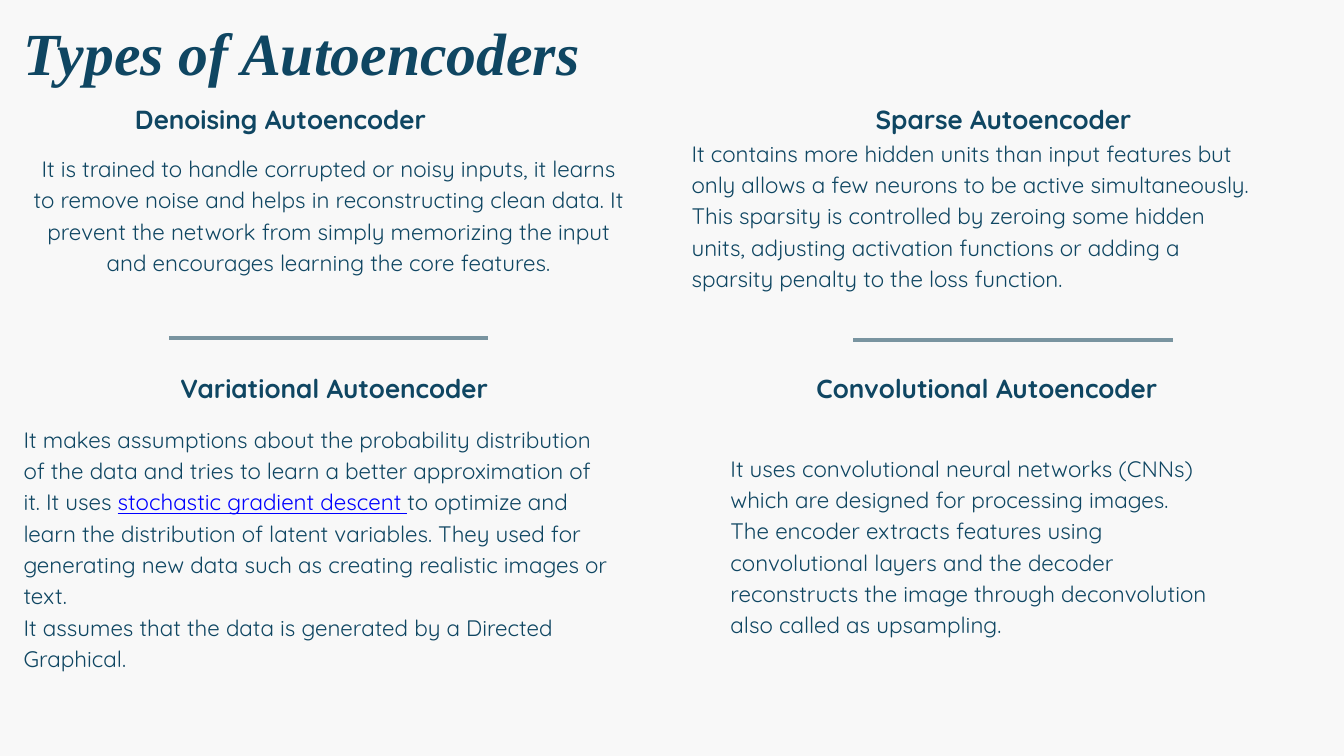
from dataclasses import dataclass

from lxml import etree
from pptx import Presentation
from pptx.dml.color import RGBColor
from pptx.enum import shapes, text
from pptx.oxml.ns import qn
from pptx.util import Cm, Pt

LEFT, CENTER, RIGHT = text.PP_ALIGN.LEFT, text.PP_ALIGN.CENTER, text.PP_ALIGN.RIGHT


@dataclass(frozen=True)
class Theme:
    paper: RGBColor = RGBColor.from_string("F8F8F8")
    ink: RGBColor = RGBColor.from_string("0F4662")
    rule: RGBColor = RGBColor.from_string("7994A0")
    link: RGBColor = RGBColor.from_string("0000FF")
    serif: str = "Times New Roman"
    sans: str = "Quicksand"
    title: int = 64
    head: int = 28
    body: int = 24
    leading: float = 1.4
    stroke: float = 4.5


@dataclass(frozen=True)
class Box:
    """A place on the slide, in centimetres."""
    left: float
    top: float
    width: float
    height: float


@dataclass(frozen=True)
class Topic:
    name: str
    head: Box
    side: text.PP_ALIGN
    paras: tuple[str, ...]
    body: Box
    align: text.PP_ALIGN = LEFT
    link: str = ""


THEME = Theme()
HEAD_W, HEAD_H = 14.86, 1.37
TOP, LOW = 3.73, 13.87
RULE_W = 12.06
RULES = ((6.4, 12.78), (32.26, 12.85))

TOPICS = (
    Topic(
        "Denoising Autoencoder", Box(1.24, TOP, HEAD_W, HEAD_H), RIGHT,
        ("It is trained to handle corrupted or noisy inputs, it learns to remove "
         "noise and helps in reconstructing clean data. It prevent the network from "
         "simply memorizing the input and encourages learning the core features.",),
        Box(1.24, 5.69, 22.35, 4.65), CENTER),
    Topic(
        "Sparse Autoencoder", Box(33.1, TOP, HEAD_W, HEAD_H), LEFT,
        ("It contains more hidden units than input features but only allows a few "
         "neurons to be active simultaneously. This sparsity is controlled by zeroing "
         "some hidden units, adjusting activation functions or adding a sparsity "
         "penalty to the loss function.",),
        Box(26.14, 5.11, 21.06, 5.82)),
    Topic(
        "Variational Autoencoder", Box(3.58, LOW, HEAD_W, HEAD_H), RIGHT,
        ("It makes assumptions about the probability distribution of the data and "
         "tries to learn a better approximation of it. It uses stochastic gradient "
         "descent to optimize and learn the distribution of latent variables. They "
         "used for generating new data such as creating realistic images or text.",
         "It assumes that the data is generated by a Directed Graphical."),
        Box(0.89, 15.93, 22.28, 9.3), link="stochastic gradient descent "),
    Topic(
        "Convolutional Autoencoder", Box(30.86, LOW, HEAD_W, HEAD_H), LEFT,
        ("It uses convolutional neural networks (CNNs) which are designed for "
         "processing images. The encoder extracts features using convolutional layers "
         "and the decoder reconstructs the image through deconvolution also called as "
         "upsampling.",),
        Box(27.61, 17.02, 18.11, 6.99)),
)


def add_text(slide, box: Box, paras: tuple[str, ...], size: int, align=LEFT,
             face: str = THEME.sans, bold: bool = False, italic: bool = False,
             link: str = "") -> None:
    """Add a text box; the words in link are blue and underlined."""
    shape = slide.shapes.add_textbox(
        Cm(box.left), Cm(box.top), Cm(box.width), Cm(box.height))
    frame = shape.text_frame
    frame.margin_left = frame.margin_top = frame.margin_right = frame.margin_bottom = 0
    frame.word_wrap = True
    frame.auto_size = text.MSO_AUTO_SIZE.SHAPE_TO_FIT_TEXT
    for i, words in enumerate(paras):
        para = frame.add_paragraph() if i else frame.paragraphs[0]
        para.alignment = align
        para.line_spacing = Pt(size * THEME.leading)
        font = para.font
        font.name, font.size = face, Pt(size)
        font.bold, font.italic = bold, italic
        font.color.rgb = THEME.ink
        for part in words.partition(link) if link else (words,):
            if not part:
                continue
            run = para.add_run()
            run.text = part
            if part == link:
                run.font.underline = True
                run.font.color.rgb = THEME.link


def add_rule(slide, left: float, top: float) -> None:
    line = slide.shapes.add_connector(
        shapes.MSO_CONNECTOR.STRAIGHT, Cm(left), Cm(top), Cm(left + RULE_W), Cm(top))
    line.line.color.rgb = THEME.rule
    line.line.width = Pt(THEME.stroke)
    etree.SubElement(line._element.spPr, qn("a:effectLst"))


def add_topic(slide, topic: Topic) -> None:
    add_text(slide, topic.body, topic.paras, THEME.body, topic.align, link=topic.link)
    add_text(slide, topic.head, (topic.name,), THEME.head, topic.side, bold=True)


def main() -> None:
    deck = Presentation()
    deck.slide_width, deck.slide_height = Cm(50.8), Cm(28.58)
    slide = deck.slides.add_slide(deck.slide_layouts[6])
    fill = slide.background.fill
    fill.solid()
    fill.fore_color.rgb = THEME.paper

    for left, top in RULES:
        add_rule(slide, left, top)
    add_text(slide, Box(0.89, 0.13, 39.09, 3.02), ("Types of Autoencoders",),
             THEME.title, face=THEME.serif, bold=True, italic=True)
    for topic in TOPICS:
        add_topic(slide, topic)
    deck.save("out.pptx")


if __name__ == "__main__":
    main()
